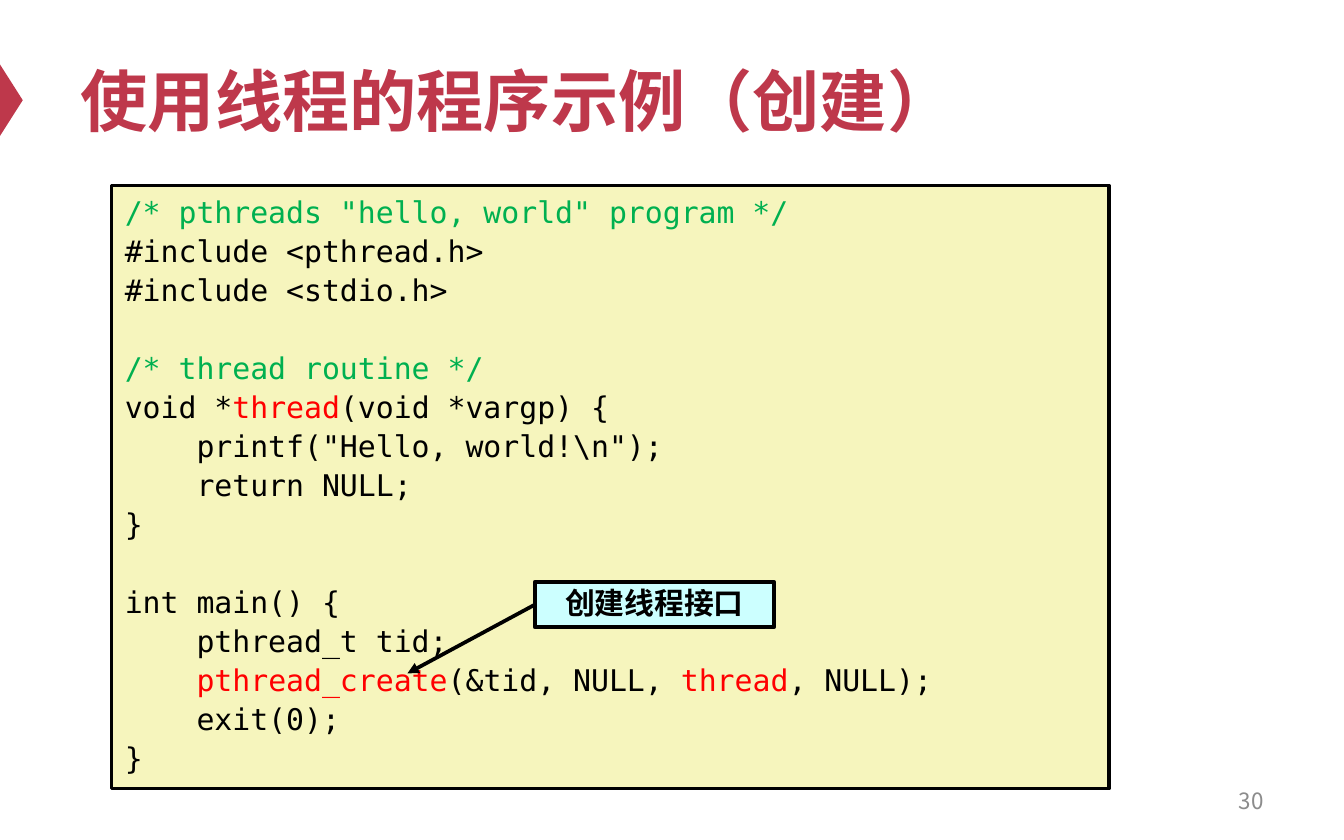
from lxml import etree
from pptx import Presentation
from pptx.dml.color import RGBColor
from pptx.enum.shapes import MSO_CONNECTOR, MSO_SHAPE
from pptx.enum.text import MSO_ANCHOR, MSO_AUTO_SIZE, PP_ALIGN
from pptx.oxml.ns import qn
from pptx.util import Cm, Pt

RECT, TRIANGLE = MSO_SHAPE.RECTANGLE, MSO_SHAPE.ISOSCELES_TRIANGLE
STRAIGHT = MSO_CONNECTOR.STRAIGHT
MIDDLE, NO_FIT = MSO_ANCHOR.MIDDLE, MSO_AUTO_SIZE.NONE
LEFT, CENTER, RIGHT = PP_ALIGN.LEFT, PP_ALIGN.CENTER, PP_ALIGN.RIGHT

COLORS = {
    "accent": "BE384B", "grey": "8C8C8C", "black": "000000",
    "paper": "F6F5BD", "label": "CCFFFF",
    "comment": "00B050", "key": "FF0000",
}
CJK, MONO = "Noto Sans CJK SC", "DejaVu Sans Mono"
LINE_GAP, BLANK_LINE = 3.7, 20.5

# Each block is a list of lines; each line is a list of (text, colour) runs.
CODE = [
    [
        [('/* pthreads "hello, world" program */', "comment")],
        [("#include <pthread.h>", "black")],
        [("#include <stdio.h>", "black")],
    ],
    [
        [("/* thread routine */", "comment")],
        [("void *", "black"), ("thread", "key"), ("(void *vargp) {", "black")],
        [('    printf("Hello, world!\\n");', "black")],
        [("    return NULL;", "black")],
        [("}", "black")],
    ],
    [
        [("int main() {", "black")],
        [("    pthread_t tid;", "black")],
        [("    ", "black"), ("pthread_create", "key"), ("(&tid, NULL, ", "black"),
         ("thread", "key"), (", NULL);", "black")],
        [("    exit(0);", "black")],
        [("}", "black")],
    ],
]


def rgb(name):
    return RGBColor.from_string(COLORS[name])


class SlideBuilder:
    def __init__(self, prs):
        self.s = prs.slides.add_slide(prs.slide_layouts[5])
        self.line_width = Pt(2)

    def frame(self, sp):
        tf = sp.text_frame
        for name, value in {"word_wrap": True, "auto_size": NO_FIT,
                            "vertical_anchor": MIDDLE}.items():
            setattr(tf, name, value)
        return tf

    def run(self, p, text, color, font, size, bold=False):
        r = p.add_run()
        r.text = text
        values = {"name": font, "size": Pt(size), "bold": bold}
        for name, value in values.items():
            setattr(r.font, name, value)
        r.font.color.rgb = rgb(color)
        ea = etree.SubElement(r.font._element, qn("a:ea"))
        ea.set("typeface", CJK)

    def title(self, text, *box):
        sp = self.s.shapes.title
        sp.left, sp.top, sp.width, sp.height = map(Cm, box)
        p = self.frame(sp).paragraphs[0]
        p.alignment = LEFT
        self.run(p, text, "accent", "Arial", 36, True)

    def text(self, text, *box):
        sp = self.s.shapes.add_textbox(*map(Cm, box))
        p = self.frame(sp).paragraphs[0]
        p.alignment = RIGHT
        self.run(p, text, "grey", CJK, 12)

    def shape(self, kind, fill, *box, outlined=True):
        sp = self.s.shapes.add_shape(kind, *map(Cm, box))
        sp.shadow.inherit = False
        sp.fill.solid()
        sp.fill.fore_color.rgb = rgb(fill)
        if outlined:
            sp.line.color.rgb = rgb("black")
            sp.line.width = self.line_width
        else:
            sp.line.fill.background()
        return sp

    def marker(self, *box):
        self.shape(TRIANGLE, "accent", *box, outlined=False).rotation = 90

    def label(self, text, *box):
        sp = self.shape(RECT, "label", *box)
        p = self.frame(sp).paragraphs[0]
        p.alignment, p.line_spacing = CENTER, 0.9
        self.run(p, text, "black", CJK, 16, True)

    def code(self, blocks, *box):
        """Write code lines, leaving one line's height between blocks."""
        tf = self.frame(self.shape(RECT, "paper", *box))
        for b, block in enumerate(blocks):
            for i, line in enumerate(block):
                first = b == i == 0
                p = tf.paragraphs[0] if first else tf.add_paragraph()
                p.alignment, p.line_spacing = LEFT, 0.9
                if not first:
                    p.space_before = Pt(LINE_GAP + (0 if i else BLANK_LINE))
                for text, color in line:
                    self.run(p, text, color, MONO, 16)

    def arrow(self, *ends):
        sp = self.s.shapes.add_connector(STRAIGHT, *map(Cm, ends))
        sp.line.color.rgb = rgb("black")
        sp.line.width = self.line_width
        etree.SubElement(sp.line._get_or_add_ln(), qn("a:tailEnd")).set("type", "triangle")
        etree.SubElement(sp._element.spPr, qn("a:effectLst"))


def main():
    prs = Presentation()
    prs.slide_width, prs.slide_height = Cm(25.4), Cm(15.88)
    s = SlideBuilder(prs)
    s.marker(-0.46, 1.68, 1.35, 0.43)
    s.title("使用线程的程序示例（创建）", 1.27, 0.64, 22.86, 2.49)
    s.text("30", 18.21, 14.71, 5.92, 0.84)
    s.code(CODE, 2.11, 3.51, 18.85, 11.4)
    s.label("创建线程接口", 10.11, 11, 4.52, 0.86)
    s.arrow(10.11, 11.43, 7.7, 12.73)
    prs.save("out.pptx")


if __name__ == "__main__":
    main()
